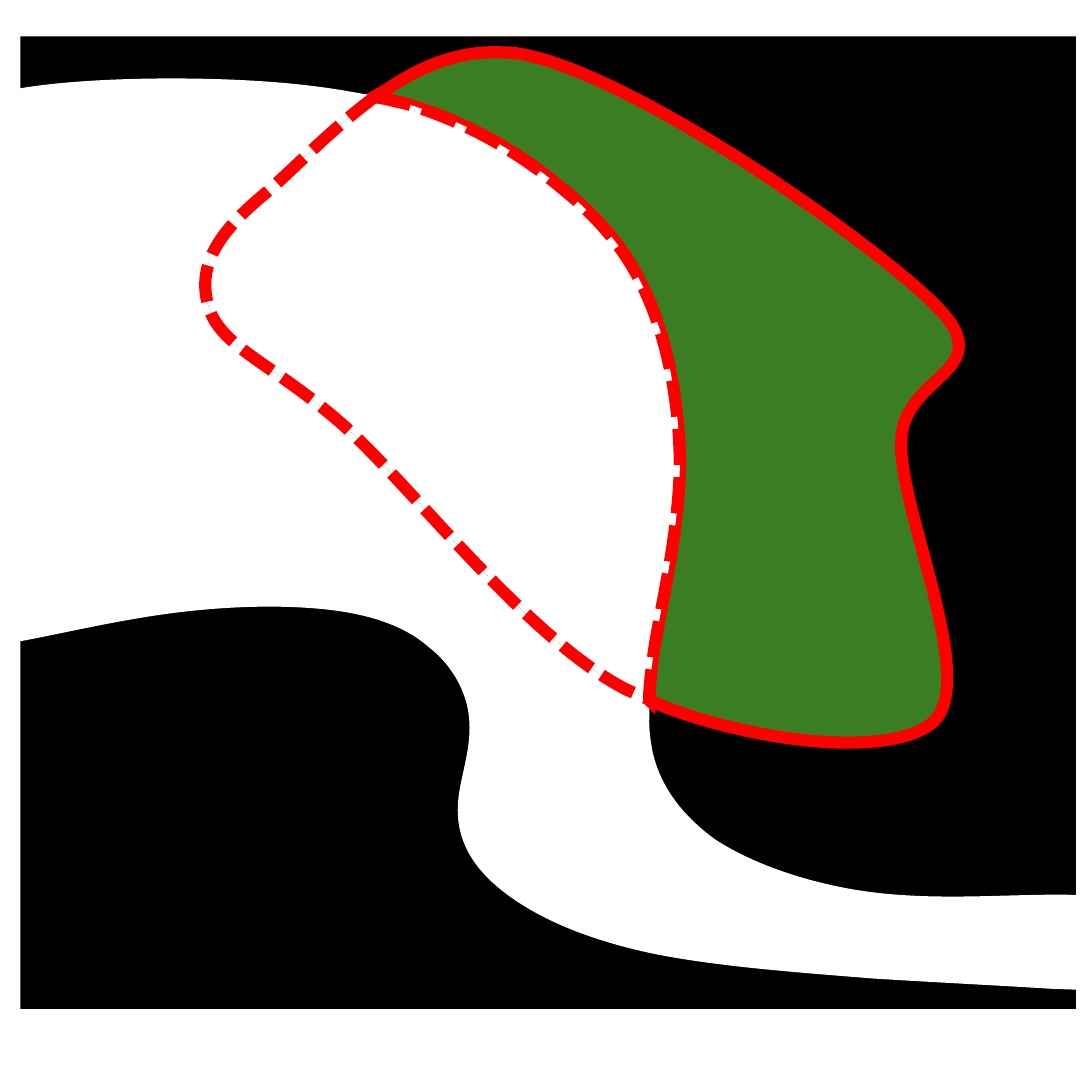
import math
from lxml import etree
from pptx import Presentation
from pptx import util as u
from pptx.dml.color import RGBColor
from pptx.enum import dml, shapes

SIDE = 7.5
UNITS = 1000  # path units to the inch
TILT = 343.6  # degrees, clockwise
COLORS = {"rock": "000000", "river": "FFFFFF", "land": "3B7D23", "edge": "FF0000"}

# Chains of cubic curves: a start, then two handles and an end for each curve.
BANK = [
    (2.59, .67), (2.66, .68), (2.72, .7), (2.78, .71),
    (3.25, .85), (3.61, 1.08), (3.88, 1.31),
    (4.16, 1.54), (4.34, 1.77), (4.47, 2.09),
    (4.6, 2.41), (4.67, 2.82), (4.67, 3.21),
    (4.66, 3.61), (4.58, 3.99), (4.52, 4.31),
    (4.49, 4.47), (4.47, 4.62), (4.46, 4.76)]
COVE = [
    (4.45, 4.8), (4.4, 4.78), (4.36, 4.76), (4.31, 4.74),
    (3.64, 4.4), (2.86, 3.38), (2.38, 2.94),
    (1.9, 2.51), (1.54, 2.4), (1.44, 2.13),
    (1.35, 1.86), (1.46, 1.63), (1.81, 1.34),
    (1.99, 1.19), (2.24, .92), (2.53, .7)]
COAST = [
    (2.65, .62), (2.88, .46), (3.14, .35), (3.43, .36),
    (3.47, .36), (3.52, .36), (3.57, .37),
    (4.34, .5), (6.01, 1.67), (6.44, 2.11),
    (6.88, 2.56), (6.19, 2.57), (6.19, 3.04),
    (6.18, 3.52), (6.72, 4.67), (6.41, 4.96),
    (6.13, 5.2), (5.25, 5.11), (4.58, 4.86)]
STREAM = [
    (4.46, 4.96), (4.46, 5.02), (4.47, 5.09), (4.48, 5.15),
    (4.53, 5.39), (4.68, 5.6), (4.92, 5.77),
    (5.17, 5.93), (5.52, 6.05), (5.87, 6.11),
    (6.23, 6.17), (6.59, 6.16), (6.95, 6.15),
    (7.32, 6.14), (7.69, 6.13), (7.85, 6.24),
    (8.01, 6.36), (7.96, 6.6), (7.84, 6.71),
    (7.72, 6.82), (7.52, 6.8), (7.21, 6.79),
    (6.9, 6.77), (6.48, 6.75), (5.99, 6.72),
    (5.5, 6.68), (4.93, 6.64), (4.49, 6.55),
    (4.06, 6.46), (3.76, 6.33), (3.55, 6.19),
    (3.34, 6.05), (3.23, 5.91), (3.18, 5.77),
    (3.13, 5.63), (3.14, 5.5), (3.17, 5.36),
    (3.2, 5.22), (3.24, 5.07), (3.22, 4.91),
    (3.2, 4.75), (3.11, 4.57), (2.94, 4.44),
    (2.78, 4.3), (2.53, 4.21), (2.18, 4.18),
    (1.83, 4.15), (1.39, 4.17), (.93, 4.25),
    (.46, 4.33), (-.02, 4.46), (-.25, 4.45),
    (-.49, 4.43), (-.49, 4.28), (-.47, 3.69),
    (-.45, 3.1), (-.41, 2.08), (-.39, 1.5),
    (-.37, .91), (-.37, .76), (-.12, .67),
    (.13, .58), (.64, .54), (1.18, .54),
    (1.59, .54), (2.02, .56), (2.41, .63)]
NORTH, SOUTH = [(2.58, .66)], [(4.46, 4.81)]  # where land and river meet


def add(parent, tag, **attrs):
    """Append a drawing element in the parent's namespace."""
    space = etree.QName(parent).namespace
    return etree.SubElement(parent, f"{{{space}}}{tag}", attrs)


def paint(shape, fill, dash=None, edged=False):
    shape.shadow.inherit = False
    shape.fill.solid()
    shape.fill.fore_color.rgb = RGBColor.from_string(COLORS[fill])
    line = shape.line
    if not edged:
        line.fill.background()
        return
    line.color.rgb = RGBColor.from_string(COLORS["edge"])
    for name, value in {"width": u.Pt(6), "dash_style": dash}.items():
        setattr(line, name, value)
    add(shape.element.spPr.find("{*}ln"), "miter", lim="800000")


def untilt(dot, box):
    """Place of a slide point inside the box before the box is tilted."""
    left, top, wide, high = box
    dx, dy = dot[0] - left - wide / 2, dot[1] - top - high / 2
    turn = math.radians(-TILT)
    cos, sin = math.cos(turn), math.sin(turn)
    return wide / 2 + dx * cos - dy * sin, high / 2 + dx * sin + dy * cos


def draw(route, chains, box):
    """Replace the outline of a freeform by curves, joined by straight lines."""
    def step(tag, dots):
        node = add(route, tag)
        for dot in dots:
            x, y = (str(round(v * UNITS)) for v in untilt(dot, box))
            add(node, "pt", x=x, y=y)

    for old in list(route):
        route.remove(old)
    for n, chain in enumerate(chains):
        step("lnTo" if n else "moveTo", chain[:1])
        for i in range(1, len(chain), 3):
            step("cubicBezTo", chain[i:i + 3])
    add(route, "close")


def area(slide, box, chains, fill, **style):
    """Closed, tilted outline through all chains in turn."""
    left, top, wide, high = box
    w, h = wide * UNITS, high * UNITS
    pen = slide.shapes.build_freeform(0, 0, scale=u.Inches(1) / UNITS)
    pen.add_line_segments([(w, 0), (w, h), (0, h)])
    shape = pen.convert_to_shape(u.Inches(left), u.Inches(top))
    spots = {"left": left, "top": top, "width": wide, "height": high}
    for name, value in spots.items():
        setattr(shape, name, u.Inches(value))
    shape.rotation = TILT
    draw(shape.element.spPr.find(".//{*}path"), chains, box)
    paint(shape, fill, **style)


def panel(slide, *box):
    spots = [u.Inches(v) for v in box]
    paint(slide.shapes.add_shape(shapes.MSO_SHAPE.RECTANGLE, *spots), "rock")


def main():
    deck = Presentation()
    deck.slide_width = deck.slide_height = u.Inches(SIDE)
    slide = deck.slides.add_slide(deck.slide_layouts[6])
    panel(slide, .14, .25, 7.25, 6.68)
    area(slide, (3.24, -.02, 3.37, 5.35), [COAST, SOUTH, BANK[::-1], NORTH],
         "land", edged=True)
    area(slide, (-.42, -.17, 7.47, 8.07), [STREAM, NORTH, COVE[::-1], SOUTH], "river")
    area(slide, (1.71, .58, 2.93, 4.5), [NORTH, BANK, SOUTH, COVE], "river",
         edged=True, dash=dml.MSO_LINE.SQUARE_DOT)
    deck.save("out.pptx")


if __name__ == "__main__":
    main()
